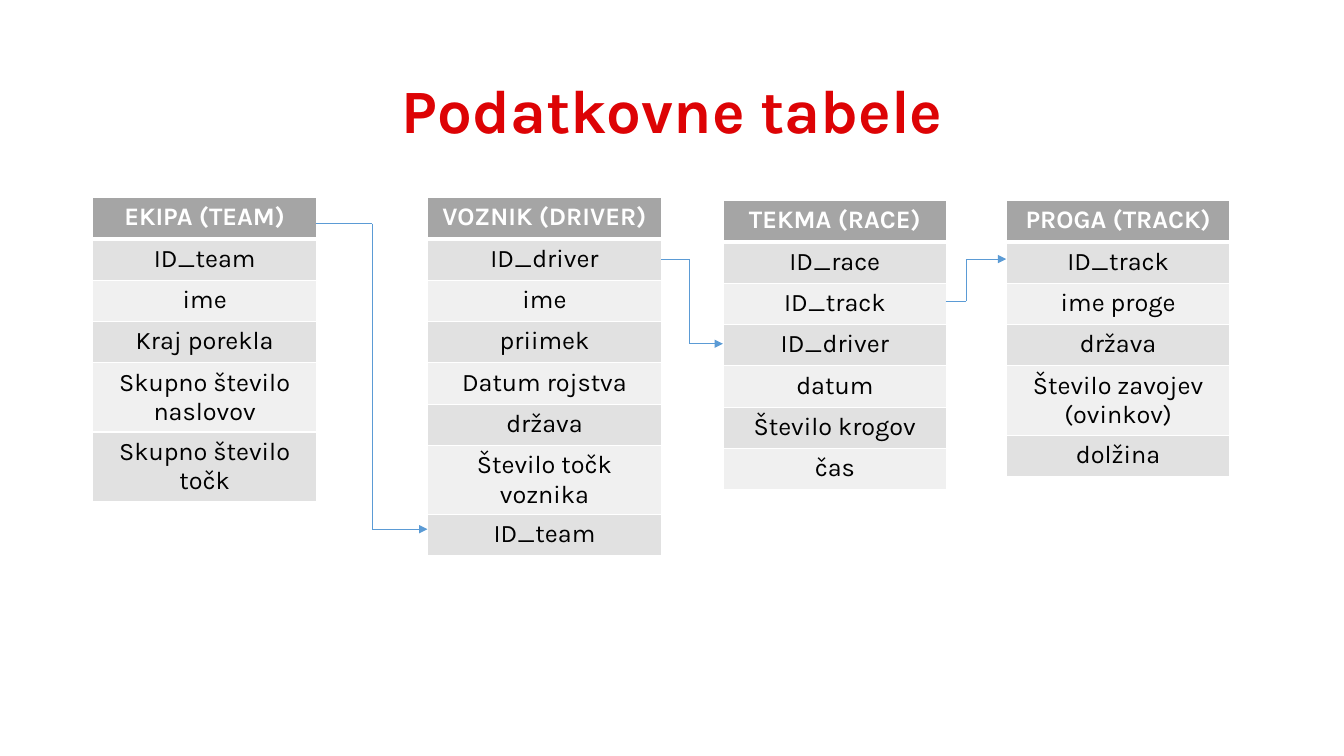
from itertools import pairwise

from lxml.etree import SubElement
from pptx import Presentation
from pptx.dml.color import RGBColor
from pptx.enum.shapes import MSO_CONNECTOR
from pptx.enum.text import MSO_ANCHOR, MSO_AUTO_SIZE, PP_ALIGN
from pptx.oxml.ns import qn
from pptx.util import Inches, Pt

RED = RGBColor(0xDD, 0x03, 0x05)
WHITE = RGBColor(0xFF, 0xFF, 0xFF)
BLACK = RGBColor(0x00, 0x00, 0x00)
HEADER_GRAY = RGBColor(0xA5, 0xA5, 0xA5)
DARK_BAND = RGBColor(0xE1, 0xE1, 0xE1)
LIGHT_BAND = RGBColor(0xF0, 0xF0, 0xF0)
BLUE = RGBColor(0x5B, 0x9B, 0xD5)

ROW_HEIGHT = 0.41
TITLE_FONT = {"name": "Karla", "size": Pt(44), "bold": True}
HEADER_FONT = {"name": "Karla", "size": Pt(18), "bold": True}
FIELD_FONT = {"name": "Karla", "size": Pt(18), "bold": False}

ENTITIES = [
    (0.92, 1.96, 2.22, ["EKIPA (TEAM)", "ID_team", "ime", "Kraj porekla",
                        "Skupno število naslovov", "Skupno število točk"]),
    (4.24, 1.96, 2.32, ["VOZNIK (DRIVER)", "ID_driver", "ime", "priimek", "Datum rojstva",
                        "država", "Število točk voznika", "ID_team"]),
    (7.17, 1.99, 2.22, ["TEKMA (RACE)", "ID_race", "ID_track", "ID_driver", "datum",
                        "Število krogov", "čas"]),
    (9.98, 1.99, 2.22, ["PROGA (TRACK)", "ID_track", "ime proge", "država",
                        "Število zavojev (ovinkov)", "dolžina"]),
]

RELATIONS = [
    [(3.13, 2.22), (3.69, 2.22), (3.69, 5.25), (4.24, 5.25)],
    [(6.56, 2.57), (6.84, 2.57), (6.84, 3.41), (7.17, 3.41)],
    [(9.38, 2.99), (9.58, 2.99), (9.58, 2.57), (9.98, 2.57)],
]


def write_centred(frame, text, font_values, color):
    """Put one centred, formatted paragraph into a text frame."""
    paragraph = frame.paragraphs[0]
    paragraph.alignment = PP_ALIGN.CENTER
    run = paragraph.add_run()
    run.text = text
    for attribute, value in font_values.items():
        setattr(run.font, attribute, value)
    run.font.color.rgb = color
    return paragraph


def add_title(slide, text):
    """Fill and place the title placeholder."""
    title = slide.shapes.title
    place = {"left": 0.92, "top": 0.4, "width": 11.5, "height": 1.45}
    for attribute, value in place.items():
        setattr(title, attribute, Inches(value))
    frame = title.text_frame
    frame.auto_size = MSO_AUTO_SIZE.NONE
    frame.vertical_anchor = MSO_ANCHOR.MIDDLE
    write_centred(frame, text, TITLE_FONT, RED).line_spacing = 0.9


def add_borders(cell, top, bottom):
    """Draw white borders around a cell with the given point widths."""
    properties = cell._tc.get_or_add_tcPr()
    for side, width in {"L": 1, "R": 1, "T": top, "B": bottom}.items():
        border = SubElement(properties, qn(f"a:ln{side}"), w=str(Pt(width)))
        fill = SubElement(border, qn("a:solidFill"))
        SubElement(fill, qn("a:srgbClr"), val=str(WHITE))


def add_entity(slide, left, top, width, names):
    """Add a one-column table with a header and banded field rows."""
    table = slide.shapes.add_table(
        len(names), 1, Inches(left), Inches(top),
        Inches(width), Inches(ROW_HEIGHT * len(names))).table
    for index, name in enumerate(names):
        table.rows[index].height = Inches(ROW_HEIGHT)
        cell = table.cell(index, 0)
        is_header = index == 0
        add_borders(cell, top=3 if index == 1 else 1, bottom=3 if is_header else 1)
        band = DARK_BAND if index % 2 else LIGHT_BAND
        cell.fill.solid()
        cell.fill.fore_color.rgb = HEADER_GRAY if is_header else band
        write_centred(cell.text_frame, name,
                      HEADER_FONT if is_header else FIELD_FONT,
                      WHITE if is_header else BLACK)


def add_relation(slide, corners):
    """Join the corners with straight lines, ending in an arrowhead."""
    for start, end in pairwise(corners):
        segment = slide.shapes.add_connector(
            MSO_CONNECTOR.STRAIGHT, *(Inches(value) for value in start + end))
        segment.line.color.rgb = BLUE
        segment.line.width = Pt(0.5)
        SubElement(segment._element.spPr, qn("a:effectLst"))
    SubElement(segment.line._get_or_add_ln(), qn("a:tailEnd"), type="triangle")


def main():
    """Build the slide of related data tables."""
    deck = Presentation()
    deck.slide_width = Inches(13.33)
    deck.slide_height = Inches(7.5)
    slide = deck.slides.add_slide(deck.slide_layouts[5])
    add_title(slide, "Podatkovne tabele")
    for entity in ENTITIES:
        add_entity(slide, *entity)
    for corners in RELATIONS:
        add_relation(slide, corners)
    deck.save("out.pptx")


if __name__ == "__main__":
    main()
